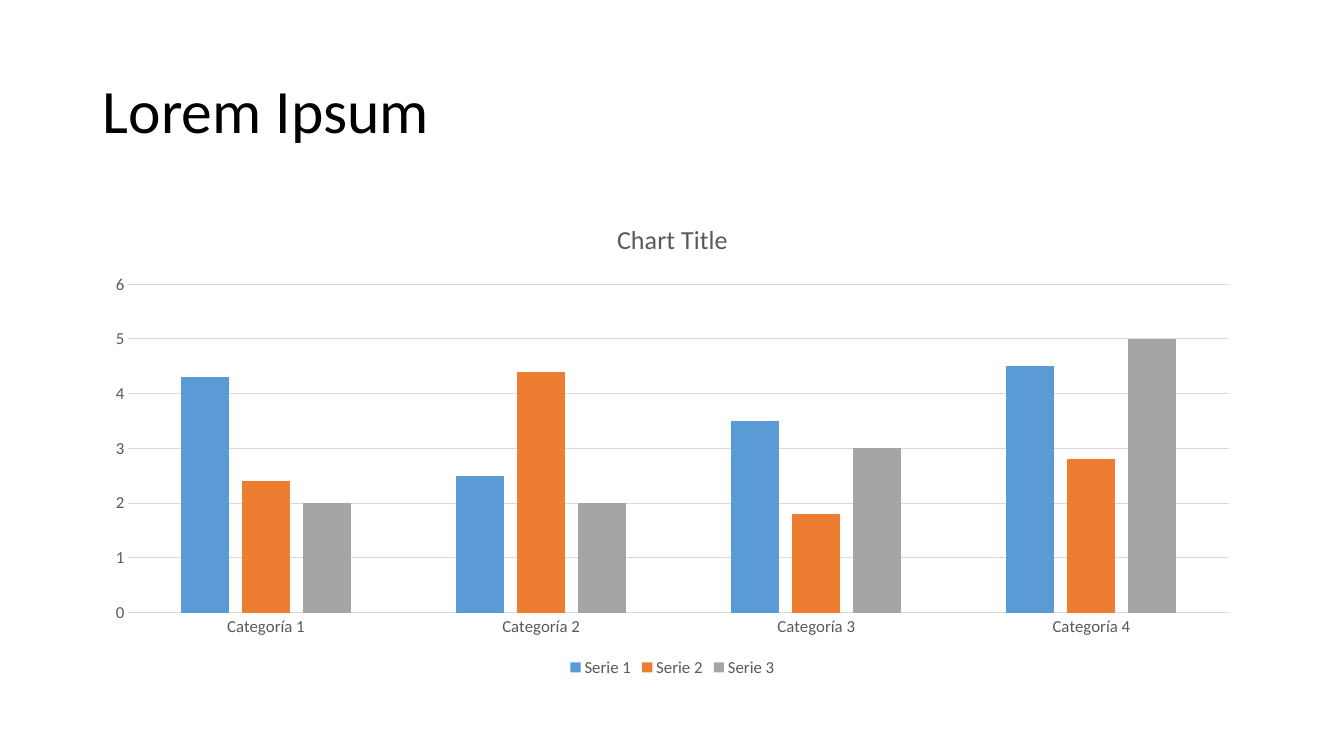
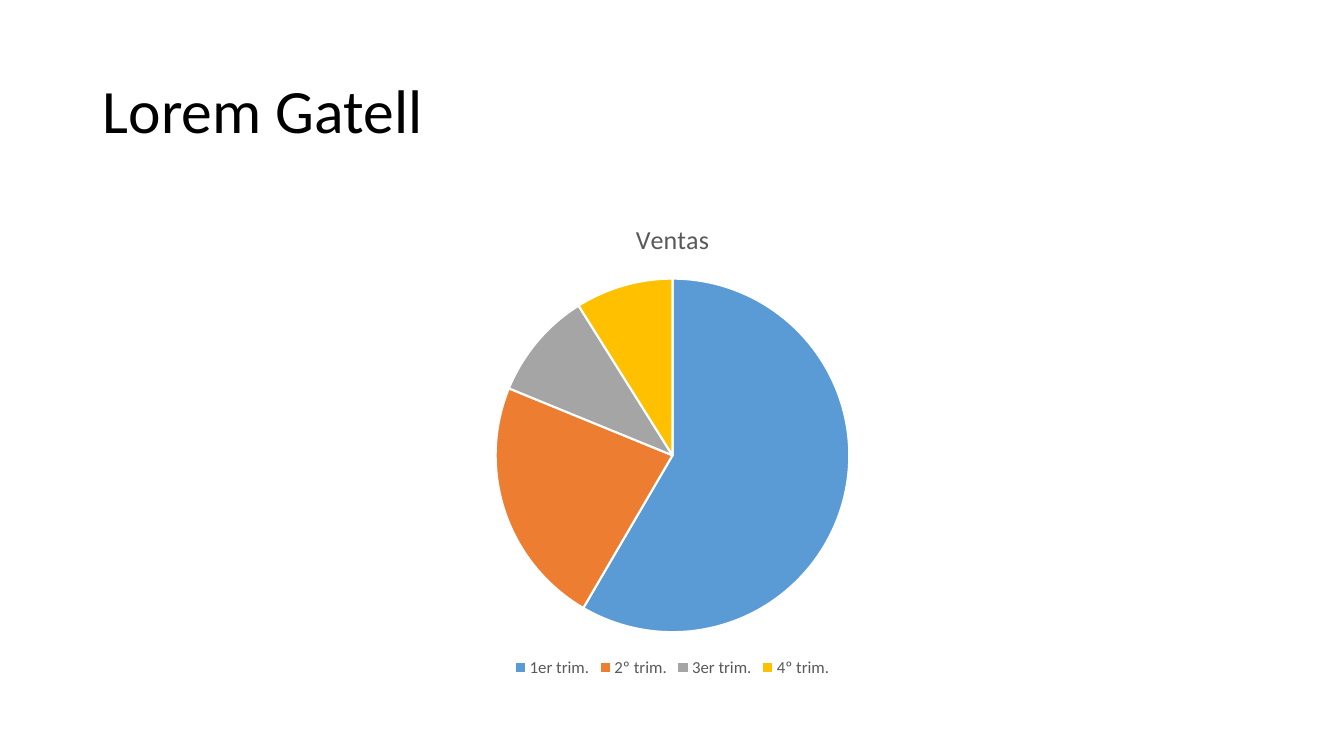
from pptx import Presentation
from pptx.chart.data import CategoryChartData
from pptx.dml.color import RGBColor
from pptx.enum.chart import XL_CHART_TYPE, XL_LEGEND_POSITION, XL_TICK_MARK
from pptx.enum.text import MSO_ANCHOR, MSO_AUTO_SIZE, PP_ALIGN
from pptx.util import Inches, Pt

COLUMNS = XL_CHART_TYPE.COLUMN_CLUSTERED
PIE = XL_CHART_TYPE.PIE
BOTTOM = XL_LEGEND_POSITION.BOTTOM
NO_TICK = XL_TICK_MARK.NONE
MIDDLE = MSO_ANCHOR.MIDDLE
NO_FIT = MSO_AUTO_SIZE.NONE
LEFT = PP_ALIGN.LEFT
TITLE_ONLY = 5

COLORS = {
    "title": "000000",
    "label": "595959",
    "grid": "D9D9D9",
    "separator": "FFFFFF",
}
ACCENTS = ["5B9BD5", "ED7D31", "A5A5A5", "FFC000"]
FONT = "Calibri"

# Boxes: left, top, width, height in inches
TITLE_BOX = (0.92, 0.4, 11.5, 1.45)
CHART_BOX = (0.92, 2, 11.5, 4.76)

TITLE_FRAME = {"vertical_anchor": MIDDLE, "auto_size": NO_FIT, "word_wrap": True}
TITLE_PARAGRAPH = {"alignment": LEFT, "line_spacing": 0.9}
AXIS_TICKS = {"major_tick_mark": NO_TICK, "minor_tick_mark": NO_TICK}
VALUE_SCALE = {
    "minimum_scale": 0,
    "maximum_scale": 6,
    "major_unit": 1,
    "has_major_gridlines": True,
}
COLUMN_SPACING = {"gap_width": 219, "overlap": -27, "vary_by_categories": False}


def apply(target, values):
    for attribute, value in values.items():
        setattr(target, attribute, value)


def style_font(font, size, color):
    apply(font, {"name": FONT, "size": Pt(size), "bold": False})
    font.color.rgb = RGBColor.from_string(color)


def style_line(line, color, width):
    line.color.rgb = RGBColor.from_string(color)
    line.width = Pt(width)


def fill_solid(part, color):
    part.format.fill.solid()
    part.format.fill.fore_color.rgb = RGBColor.from_string(color)


def place_title(slide, text, box):
    title = slide.shapes.title
    apply(title, dict(zip(("left", "top", "width", "height"), map(Inches, box))))
    frame = title.text_frame
    frame.text = text
    apply(frame, TITLE_FRAME)
    paragraph = frame.paragraphs[0]
    apply(paragraph, TITLE_PARAGRAPH)
    style_font(paragraph.runs[0].font, 44, COLORS["title"])


def place_chart(slide, kind, heading, categories, series, box):
    """Add a chart with the shared heading, font and legend."""
    data = CategoryChartData()
    data.categories = categories
    for name, values in series.items():
        data.add_series(name, values)
    chart = slide.shapes.add_chart(kind, *map(Inches, box), data).chart
    style_font(chart.font, 12, COLORS["label"])

    # Heading
    chart.has_title = True
    heading_frame = chart.chart_title.text_frame
    heading_frame.text = heading
    style_font(heading_frame.paragraphs[0].runs[0].font, 18.6, COLORS["label"])

    # Legend
    chart.has_legend = True
    apply(chart.legend, {"position": BOTTOM, "include_in_layout": False})
    style_font(chart.legend.font, 12, COLORS["label"])
    return chart


def style_columns(chart):
    plot = chart.plots[0]
    apply(plot, COLUMN_SPACING)
    for series, color in zip(plot.series, ACCENTS):
        fill_solid(series, color)

    # Axes and gridlines
    for axis in (chart.category_axis, chart.value_axis):
        apply(axis, AXIS_TICKS)
        style_font(axis.tick_labels.font, 12, COLORS["label"])
    apply(chart.value_axis, VALUE_SCALE)
    chart.value_axis.format.line.fill.background()
    for line in (chart.category_axis.format.line,
                 chart.value_axis.major_gridlines.format.line):
        style_line(line, COLORS["grid"], 0.75)


def style_pie(chart):
    plot = chart.plots[0]
    plot.vary_by_categories = True
    for index, color in enumerate(ACCENTS):
        slice_point = plot.series[0].points[index]
        fill_solid(slice_point, color)
        style_line(slice_point.format.line, COLORS["separator"], 1.5)


def chart_slide(deck, title, kind, heading, categories, series, style):
    slide = deck.slides.add_slide(deck.slide_layouts[TITLE_ONLY])
    place_title(slide, title, TITLE_BOX)
    style(place_chart(slide, kind, heading, categories, series, CHART_BOX))


def main():
    deck = Presentation()
    apply(deck, {"slide_width": Inches(13.33), "slide_height": Inches(7.5)})

    # Series by category
    chart_slide(
        deck, "Lorem Ipsum", COLUMNS, "Chart Title",
        [f"Categoría {number}" for number in range(1, 5)],
        {
            "Serie 1": (4.3, 2.5, 3.5, 4.5),
            "Serie 2": (2.4, 4.4, 1.8, 2.8),
            "Serie 3": (2, 2, 3, 5),
        },
        style_columns,
    )

    # Sales by quarter
    chart_slide(
        deck, "Lorem Gatell", PIE, "Ventas",
        ["1er trim.", "2º trim.", "3er trim.", "4º trim."],
        {"Ventas": (59, 23, 10, 9)},
        style_pie,
    )
    deck.save("out.pptx")


if __name__ == "__main__":
    main()
